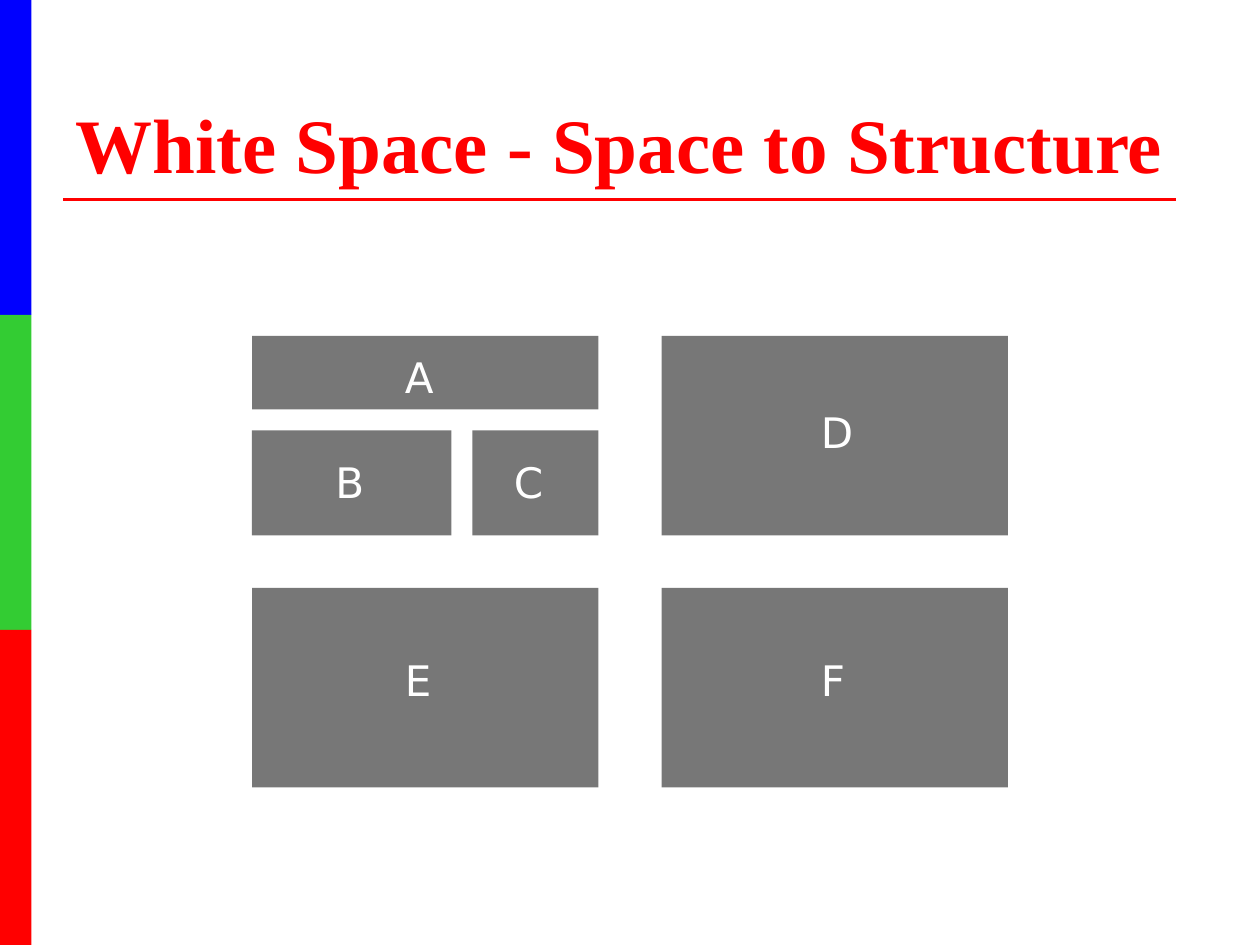
from pptx import Presentation
from pptx.dml.color import RGBColor
from pptx.enum.shapes import MSO_CONNECTOR, MSO_SHAPE
from pptx.enum.text import MSO_ANCHOR
from pptx.oxml.ns import qn
from pptx.util import Pt
from lxml import etree

RECTANGLE = MSO_SHAPE.RECTANGLE
STRAIGHT = MSO_CONNECTOR.STRAIGHT
TOP, BOTTOM = MSO_ANCHOR.TOP, MSO_ANCHOR.BOTTOM

EMU_PER_PX = 9525  # 96 px to the inch
COLORS = {"blue": "0000FF", "green": "33CC33", "red": "FF0000",
          "gray": "777777", "white": "FFFFFF"}


def px(*lengths):
    return [length * EMU_PER_PX for length in lengths]


def rgb(color):
    return RGBColor.from_string(COLORS[color])


class SlideBuilder:
    title_font = "Times New Roman"
    label_font = "DejaVu Sans"

    def __init__(self, slide):
        self.slide = slide

    def block(self, left, top, width, height, color):
        block = self.slide.shapes.add_shape(RECTANGLE, *px(left, top, width, height))
        block.shadow.inherit = False
        block.fill.solid()
        block.fill.fore_color.rgb = rgb(color)
        block.line.fill.background()

    def rule(self, left, right, y, color):
        rule = self.slide.shapes.add_connector(STRAIGHT, *px(left, y, right, y))
        rule.line.color.rgb = rgb(color)
        rule.line.width = Pt(1.5)
        etree.SubElement(rule._element.spPr, qn("a:effectLst"))

    def text(self, words, left, top, width, height, font, size, color,
             bold=False, anchor=TOP):
        frame = self.slide.shapes.add_textbox(*px(left, top, width, height)).text_frame
        frame.word_wrap = True
        frame.vertical_anchor = anchor
        frame.text = words
        style = frame.paragraphs[0].runs[0].font
        style.name, style.size, style.bold = font, Pt(size), bold
        style.color.rgb = rgb(color)

    def title(self, words):
        self.text(words, 48, 29, 864, 120, self.title_font, 44, "red", True, BOTTOM)

    def label(self, letter, left, top):
        self.text(letter, left, top, 84, 48, self.label_font, 24, "white")


def main():
    prs = Presentation()
    prs.slide_width, prs.slide_height = px(960, 720)
    builder = SlideBuilder(prs.slides.add_slide(prs.slide_layouts[6]))

    # Side stripe and title
    for index, color in enumerate(("blue", "green", "red")):
        builder.block(0, index * 240, 24, 240, color)
    builder.rule(48, 896, 152, "red")
    builder.title("White Space - Space to Structure")

    # Page areas: two columns, two rows, the first cell split into A, B and C
    left, right = 192, 504
    upper, split, lower = 256, 328, 448
    full_width, full_height = 264, 152
    areas = {
        "A": (left, upper, full_width, 56),
        "B": (left, split, 152, 80),
        "C": (360, split, 96, 80),
        "D": (right, upper, full_width, full_height),
        "E": (left, lower, full_width, full_height),
        "F": (right, lower, full_width, full_height),
    }
    for area in areas.values():
        builder.block(*area, "gray")

    # Area letters
    letter_spots = {"A": (299, 263), "B": (246, 343), "C": (382, 343),
                    "D": (616, 305), "E": (299, 494), "F": (616, 494)}
    for letter, spot in letter_spots.items():
        builder.label(letter, *spot)

    prs.save("out.pptx")


if __name__ == "__main__":
    main()
